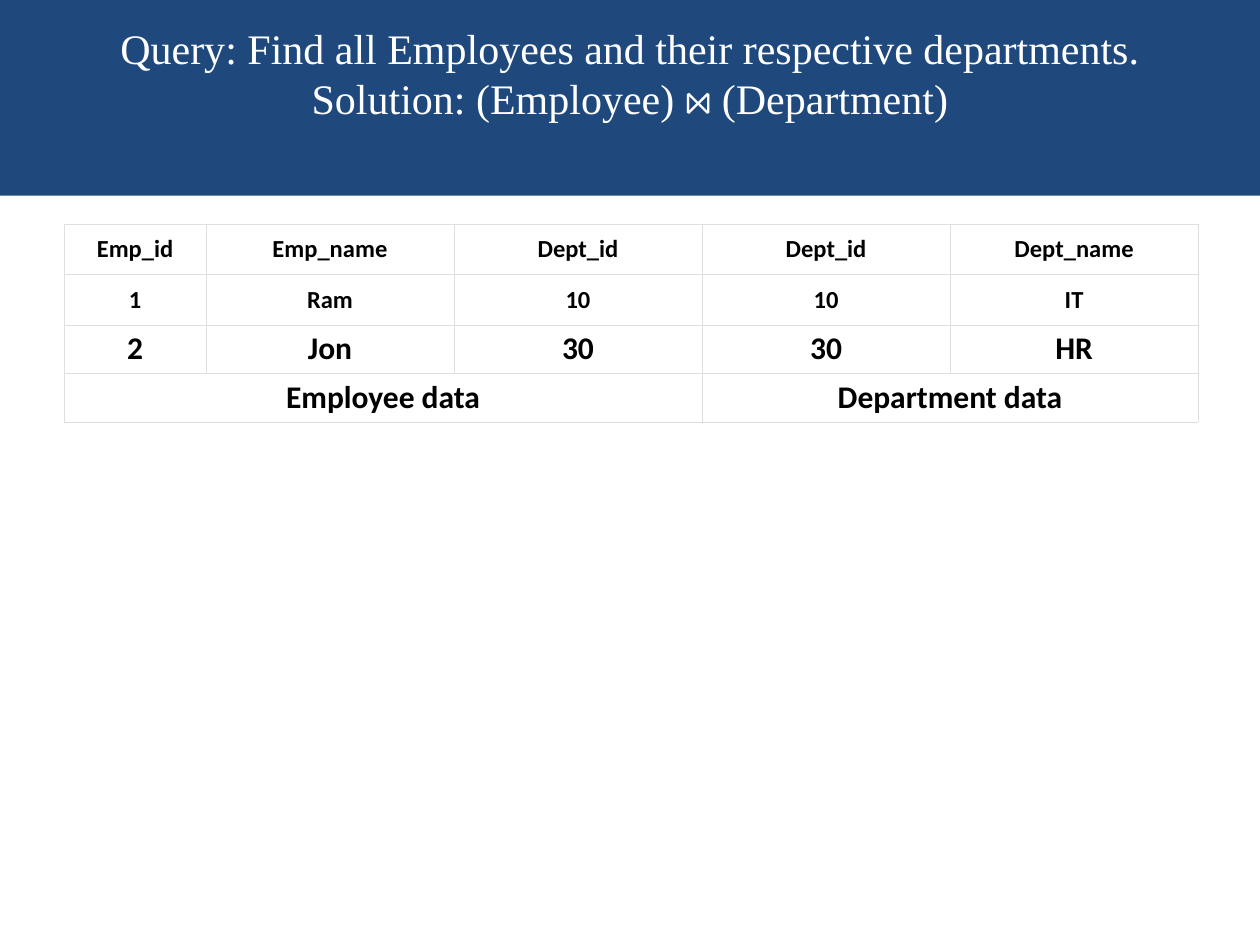
from dataclasses import dataclass

from lxml.etree import SubElement
from pptx import Presentation
from pptx.dml.color import RGBColor as Rgb
from pptx.enum.text import MSO_ANCHOR as Anchor, MSO_AUTO_SIZE as AutoSize, PP_ALIGN as Align
from pptx.oxml.ns import qn
from pptx.util import Inches, Pt

WIDTH, HEIGHT = Inches(10), Inches(7.5)


@dataclass(frozen=True)
class Theme:
    banner: str = "1F497D"
    banner_text: str = "FFFFFF"
    cell: str = "FFFFFF"
    cell_text: str = "000000"
    border: str = "DFDFDF"
    border_width: float = 0.18
    title_font: str = "Times New Roman"
    body_font: str = "Calibri"
    title_size: int = 24
    small: int = 14
    large: int = 18


@dataclass(frozen=True)
class RowStyle:
    height: float
    size: int
    inset: float
    first_inset: float


class SlideBuilder:
    """Draws on one slide; positions are shares of the slide's size."""

    def __init__(self, deck, theme):
        self.theme = theme
        self.page = deck.slides.add_slide(deck.slide_layouts[5])

    def add_run(self, para, text, font, size, colour, bold=False):
        span = para.add_run()
        span.text = text
        span.font.name = font
        span.font.size = Pt(size)
        span.font.bold = bold
        span.font.color.rgb = Rgb.from_string(colour)

    def title(self, lines, height):
        theme = self.theme
        box = self.page.shapes.title
        box.left, box.top, box.width, box.height = 0, 0, WIDTH, round(HEIGHT * height)
        box.fill.solid()
        box.fill.fore_color.rgb = Rgb.from_string(theme.banner)
        frame = box.text_frame
        frame.auto_size, frame.word_wrap = AutoSize.NONE, True
        frame.vertical_anchor = Anchor.MIDDLE
        frame.margin_bottom = Inches(0.45)
        para = frame.paragraphs[0]
        para.alignment = Align.CENTER
        for index, line in enumerate(lines):
            if index:
                para.add_line_break()
            self.add_run(para, line, theme.title_font, theme.title_size, theme.banner_text)

    def table(self, rows, styles, left, top, width, column_shares, merges):
        """Merges are (row, first column, last column)."""
        heights = [Inches(style.height) for style in styles]
        grid = self.page.shapes.add_table(
            len(rows), len(column_shares), round(WIDTH * left), round(HEIGHT * top),
            round(WIDTH * width), sum(heights)).table
        grid.first_row = grid.horz_banding = False
        for column, share in zip(grid.columns, column_shares):
            column.width = round(WIDTH * width * share)
        for row, height in zip(grid.rows, heights):
            row.height = height
        for row, first, last in merges:
            grid.cell(row, first).merge(grid.cell(row, last))
        for row, (texts, style) in enumerate(zip(rows, styles)):
            for column, text in enumerate(texts):
                self.format_cell(grid.cell(row, column), text, style, column == 0)

    def format_cell(self, cell, text, style, is_first):
        theme = self.theme
        self.add_borders(cell)
        cell.fill.solid()
        cell.fill.fore_color.rgb = Rgb.from_string(theme.cell)
        cell.vertical_anchor = Anchor.MIDDLE
        cell.margin_left = cell.margin_right = Inches(style.first_inset if is_first else style.inset)
        cell.margin_top = cell.margin_bottom = Inches(style.inset)
        if text:
            para = cell.text_frame.paragraphs[0]
            para.alignment = Align.CENTER
            self.add_run(para, text, theme.body_font, style.size, theme.cell_text, bold=True)

    def add_borders(self, cell):
        properties = cell._tc.get_or_add_tcPr()
        for side in ("lnL", "lnR", "lnT", "lnB"):
            line = SubElement(properties, qn(f"a:{side}"), w=str(Pt(self.theme.border_width)))
            fill = SubElement(line, qn("a:solidFill"))
            SubElement(fill, qn("a:srgbClr"), val=self.theme.border)


def main():
    deck = Presentation()
    deck.slide_width, deck.slide_height = WIDTH, HEIGHT
    theme = Theme()
    slide = SlideBuilder(deck, theme)
    slide.title(["Query: Find all Employees and their respective departments.",
                 "Solution: (Employee) ⋈ (Department)"], height=0.207)

    small_row = RowStyle(0.4, theme.small, inset=0.08, first_inset=0.04)
    large_row = RowStyle(0.38, theme.large, inset=0.04, first_inset=0.04)
    id_share = 0.125
    slide.table(
        rows=[["Emp_id", "Emp_name", "Dept_id", "Dept_id", "Dept_name"],
              ["1", "Ram", "10", "10", "IT"],
              ["2", "Jon", "30", "30", "HR"],
              ["Employee data", "", "", "Department data", ""]],
        styles=[small_row] * 2 + [large_row] * 2,
        left=0.051, top=0.237, width=0.9,
        column_shares=[id_share] + [(1 - id_share) / 4] * 4,
        merges=[(3, 0, 2), (3, 3, 4)])
    deck.save("out.pptx")


if __name__ == "__main__":
    main()
